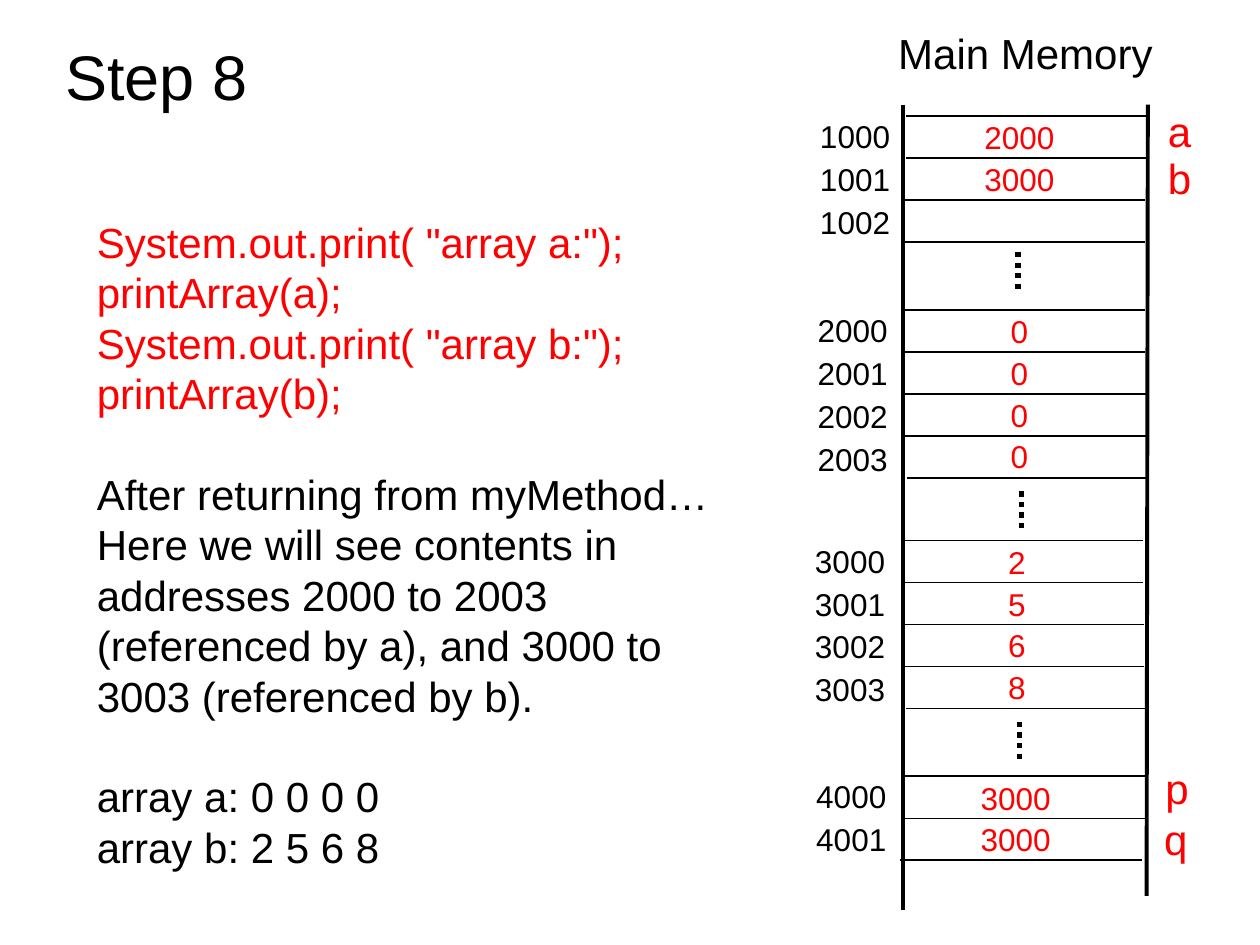
from lxml.etree import SubElement
from pptx import Presentation
from pptx.dml.color import RGBColor
from pptx.enum.dml import MSO_LINE_DASH_STYLE as Dash
from pptx.enum.shapes import MSO_CONNECTOR as Connector
from pptx.enum.text import MSO_ANCHOR as Anchor, MSO_AUTO_SIZE as AutoSize, PP_ALIGN as Align
from pptx.oxml.ns import qn
from pptx.util import Inches, Pt

BLACK = RGBColor(0, 0, 0)
RED = RGBColor(255, 0, 0)
FONT = "Arial"

TITLE = "Step 8"
MEMORY_HEADING = "Main Memory"
PASSAGES = [
    (RED, ['System.out.print( "array a:");', "printArray(a);",
           'System.out.print( "array b:");', "printArray(b);"]),
    (BLACK, ["After returning from myMethod…", "Here we will see contents in",
             "addresses 2000 to 2003", "(referenced by a), and 3000 to",
             "3003 (referenced by b)."]),
    (BLACK, ["array a: 0 0 0 0", "array b: 2 5 6 8"]),
]
MEMORY_BLOCKS = [
    {"first": 1000, "values": ["2000", "3000", ""], "top": 0.92,
     "rules": [7.19, 7.19, 7.17, 7.17], "address_left": 6.41, "middle": 8.09},
    {"first": 2000, "values": ["0", "0", "0", "0"], "top": 2.46,
     "rules": [7.17, 7.17, 7.18, 7.18, 7.2], "address_left": 6.39, "middle": 8.09},
    {"first": 3000, "values": ["2", "5", "6", "8"], "top": 4.29,
     "rules": [7.15, 7.15, 7.16, 7.16, 7.19], "address_left": 6.37, "middle": 8.07},
    {"first": 4000, "values": ["3000", "3000"], "top": 6.16,
     "rules": [7.17, 7.17, 7.14], "address_left": 6.38, "middle": 8.06},
]
VARIABLES = [("a", 9.17, 0.79), ("b", 9.17, 1.16), ("p", 9.15, 6), ("q", 9.14, 6.41)]
ELLIPSES = [(8.08, 2), (8.11, 3.9), (8.09, 5.73)]
RAILS = [(7.17, 7.17, 7.22), (9.11, 9.1, 7.11)]
RAIL_TOP = 0.83
RULE_WIDTH = 1.92
ROW = 1 / 3
ADDRESS_PITCH = 0.34
VALUE_PITCH = 0.33

deck = Presentation()
deck.slide_width, deck.slide_height = Inches(10), Inches(7.5)
slide = deck.slides.add_slide(deck.slide_layouts[5])


def add_run(paragraph, words, size, color):
    run = paragraph.add_run()
    run.text = words
    run.font.name, run.font.size = FONT, Pt(size)
    run.font.color.rgb = color


def add_text(words, left, top, width, height, size, color=BLACK, align=Align.LEFT):
    box = slide.shapes.add_textbox(*map(Inches, (left, top, width, height)))
    box.text_frame.word_wrap = False
    box.text_frame.auto_size = AutoSize.SHAPE_TO_FIT_TEXT
    paragraph = box.text_frame.paragraphs[0]
    paragraph.alignment = align
    if words:
        add_run(paragraph, words, size, color)
    return box.text_frame


def add_line(x1, y1, x2, y2, weight, dash=None):
    line = slide.shapes.add_connector(Connector.STRAIGHT, *map(Inches, (x1, y1, x2, y2)))
    line.line.color.rgb, line.line.width = BLACK, Pt(weight)
    if dash:
        line.line.dash_style = dash
    SubElement(line._element.spPr, qn("a:effectLst"))


title = slide.shapes.title
title.left, title.top, title.width, title.height = map(Inches, (0.42, 0.25, 1.8, 0.7))
heading = title.text_frame
heading.word_wrap, heading.auto_size = True, AutoSize.NONE
heading.vertical_anchor = Anchor.TOP
heading.paragraphs[0].alignment = Align.LEFT
add_run(heading.paragraphs[0], TITLE, 36, BLACK)

add_text(MEMORY_HEADING, 7.03, 0.17, 2.22, 0.5, 24)

story = add_text("", 0.67, 1.67, 5.05, 5.3, 24)
for passage, (color, lines) in enumerate(PASSAGES):
    for row, words in enumerate(lines):
        first = passage == row == 0
        paragraph = story.paragraphs[0] if first else story.add_paragraph()
        if passage and row == 0:
            paragraph.space_before = Pt(28.8)
        add_run(paragraph, words, 24, color)

for x_top, x_bottom, bottom in RAILS:
    add_line(x_top, RAIL_TOP, x_bottom, bottom, 2.25)

for block in MEMORY_BLOCKS:
    top = block["top"]
    for row, left in enumerate(block["rules"]):
        y = top + row * ROW
        add_line(left, y, left + RULE_WIDTH, y, 0.75)
    for row, value in enumerate(block["values"]):
        add_text(str(block["first"] + row), block["address_left"],
                 top - 0.04 + row * ADDRESS_PITCH, 0.77, 0.4, 18)
        if value:
            width = 0.21 + 0.14 * len(value)
            add_text(value, block["middle"] - width / 2,
                     top - 0.03 + row * VALUE_PITCH, width, 0.4, 18, RED, Align.CENTER)

for x, y in ELLIPSES:
    add_line(x, y, x, y + ROW, 3, Dash.ROUND_DOT)

for name, left, top in VARIABLES:
    add_text(name, left, top, 0.38, 0.5, 24, RED)

deck.save("out.pptx")
